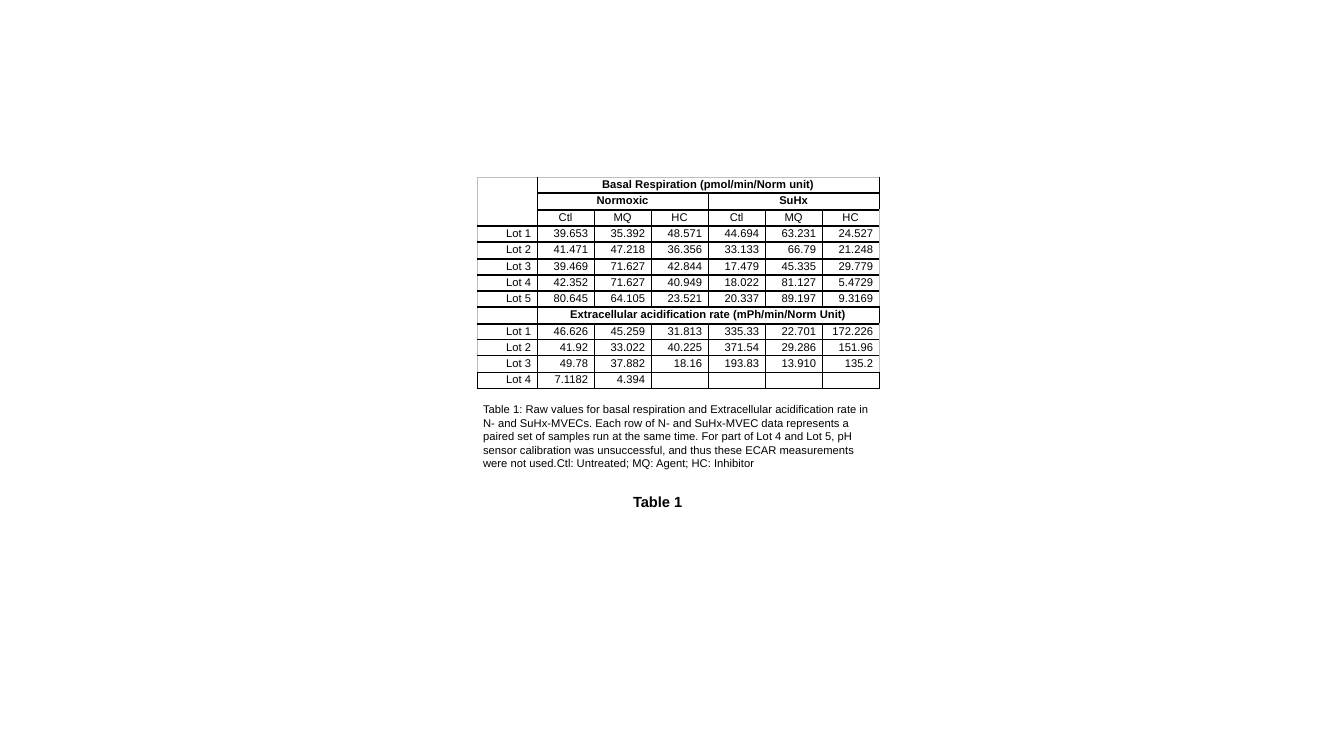
from lxml.etree import SubElement
from pptx import Presentation
from pptx.dml.color import RGBColor
from pptx.enum.text import MSO_ANCHOR, MSO_AUTO_SIZE, PP_ALIGN
from pptx.oxml.ns import qn
from pptx.util import Emu, Inches, Pt

PIXELS_PER_INCH = 100.8
BLACK = "000000"
GRAY = "BFBFBF"
BORDER_TAGS = {"left": "a:lnL", "right": "a:lnR", "top": "a:lnT", "bottom": "a:lnB"}


def pixels(length):
    return Emu(round(length * Inches(1) / PIXELS_PER_INCH))


def color(value):
    return RGBColor.from_string(value)


def write_text(text_frame, text, font="Arial", size=8, bold=False,
               fill=BLACK, align=PP_ALIGN.LEFT, line_spacing=None):
    paragraph = text_frame.paragraphs[0]
    paragraph.alignment = align
    if line_spacing:
        paragraph.line_spacing = line_spacing
    if not text:
        paragraph._p.get_or_add_endParaRPr().set("sz", str(size * 100))
        return
    run = paragraph.add_run()
    run.text = text
    run.font.name = font
    run.font.size = Pt(size)
    run.font.bold = bold
    run.font.color.rgb = color(fill)


class SlideBuilder:
    def __init__(self, slide, line_spacing=1.07, cell_margin=6):
        self.slide = slide
        self.line_spacing = line_spacing
        self.cell_margin = cell_margin

    def table(self, left, top, column_widths, row_heights):
        frame = self.slide.shapes.add_table(
            len(row_heights), len(column_widths), pixels(left), pixels(top),
            pixels(sum(column_widths)), pixels(sum(row_heights)))
        table = frame.table
        table.first_row = False
        table.horz_banding = False
        for column, width in zip(table.columns, column_widths):
            column.width = pixels(width)
        for row, height in zip(table.rows, row_heights):
            row.height = pixels(height)
        return table

    def cell(self, cell, text, borders, top_margin=0, **text_format):
        cell.margin_left = cell.margin_right = pixels(self.cell_margin)
        cell.margin_top = pixels(top_margin)
        cell.margin_bottom = 0
        cell.vertical_anchor = MSO_ANCHOR.TOP
        for side, tag in BORDER_TAGS.items():
            self.border(cell, tag, borders.get(side))
        cell.fill.background()
        write_text(cell.text_frame, text, line_spacing=self.line_spacing, **text_format)

    def border(self, cell, tag, line_color):
        width = 0.5 if line_color == GRAY else 1
        line = SubElement(cell._tc.get_or_add_tcPr(), qn(tag), w=str(Pt(width)))
        if line_color is None:
            SubElement(line, qn("a:noFill"))
            return
        fill = SubElement(line, qn("a:solidFill"))
        SubElement(fill, qn("a:srgbClr"), val=line_color)

    def label(self, left, top, width, height, text, **text_format):
        box = self.slide.shapes.add_textbox(*map(pixels, (left, top, width, height)))
        box.text_frame.word_wrap = False
        box.text_frame.auto_size = MSO_AUTO_SIZE.SHAPE_TO_FIT_TEXT
        write_text(box.text_frame, text, **text_format)


RESPIRATION = [
    ["39.653", "35.392", "48.571", "44.694", "63.231", "24.527"],
    ["41.471", "47.218", "36.356", "33.133", "66.79", "21.248"],
    ["39.469", "71.627", "42.844", "17.479", "45.335", "29.779"],
    ["42.352", "71.627", "40.949", "18.022", "81.127", "5.4729"],
    ["80.645", "64.105", "23.521", "20.337", "89.197", "9.3169"],
]
ACIDIFICATION = [
    ["46.626", "45.259", "31.813", "335.33", "22.701", "172.226"],
    ["41.92", "33.022", "40.225", "371.54", "29.286", "151.96"],
    ["49.78", "37.882", "18.16", "193.83", "13.910", "135.2"],
    ["7.1182", "4.394", "", "", "", ""],
]
CAPTION = (
    "Table 1: Raw values for basal respiration and Extracellular acidification rate in "
    "N- and SuHx-MVECs. Each row of N- and SuHx-MVEC data represents a paired set of "
    "samples run at the same time. For part of Lot 4 and Lot 5, pH sensor calibration was "
    "unsuccessful, and thus these ECAR measurements were not used.Ctl: Untreated; "
    "MQ: Agent; HC: Inhibitor"
)


def lot_rows(values):
    return [[f"Lot {number}", *row] for number, row in enumerate(values, 1)]


def section_row(title):
    return ["", title] + [""] * 5


rows = [
    section_row("Basal Respiration (pmol/min/Norm unit)"),
    ["", "Normoxic", "", "", "SuHx", "", ""],
    ["", *["Ctl", "MQ", "HC"] * 2],
    *lot_rows(RESPIRATION),
    section_row("Extracellular acidification rate (mPh/min/Norm Unit)"),
    *lot_rows(ACIDIFICATION),
    [CAPTION] + [""] * 6,
]
caption_row = len(rows) - 1
last_lot_row = caption_row - 1
section_rows = (0, 3 + len(RESPIRATION))
title_rows = (*section_rows, 1)
last_column = len(rows[0]) - 1
GRID_HEIGHT = 212
edges = [round(GRID_HEIGHT * index / caption_row) for index in range(caption_row + 1)]
row_heights = [bottom - top for top, bottom in zip(edges, edges[1:])] + [88]


def cell_borders(row, column):
    if row == caption_row:
        return {"top": BLACK}
    borders = dict.fromkeys(BORDER_TAGS, BLACK)
    if row == 0:
        borders["top"] = GRAY
    if row < last_lot_row and column == 0:
        borders["left"] = GRAY
    if row < last_lot_row and column == last_column:
        borders["right"] = GRAY
    return borders


def cell_format(row):
    if row == caption_row:
        return {"top_margin": 14}
    if row in title_rows:
        return {"align": PP_ALIGN.CENTER, "bold": True}
    return {"align": PP_ALIGN.CENTER if row == 2 else PP_ALIGN.RIGHT}


presentation = Presentation()
presentation.slide_width = Inches(13.33)
presentation.slide_height = Inches(7.5)
slide = presentation.slides.add_slide(presentation.slide_layouts[6])
builder = SlideBuilder(slide)

table = builder.table(477, 177, [60] + [57] * 6, row_heights)
for row, texts in enumerate(rows):
    for column, text in enumerate(texts):
        builder.cell(table.cell(row, column), text, cell_borders(row, column),
                     **cell_format(row))

table.cell(0, 0).merge(table.cell(2, 0))
for row in section_rows:
    table.cell(row, 1).merge(table.cell(row, last_column))
for column in (1, 4):
    table.cell(1, column).merge(table.cell(1, column + 2))
table.cell(caption_row, 0).merge(table.cell(caption_row, last_column))

builder.label(623, 488, 72, 28, "Table 1", size=10.5, bold=True)
presentation.save("out.pptx")
